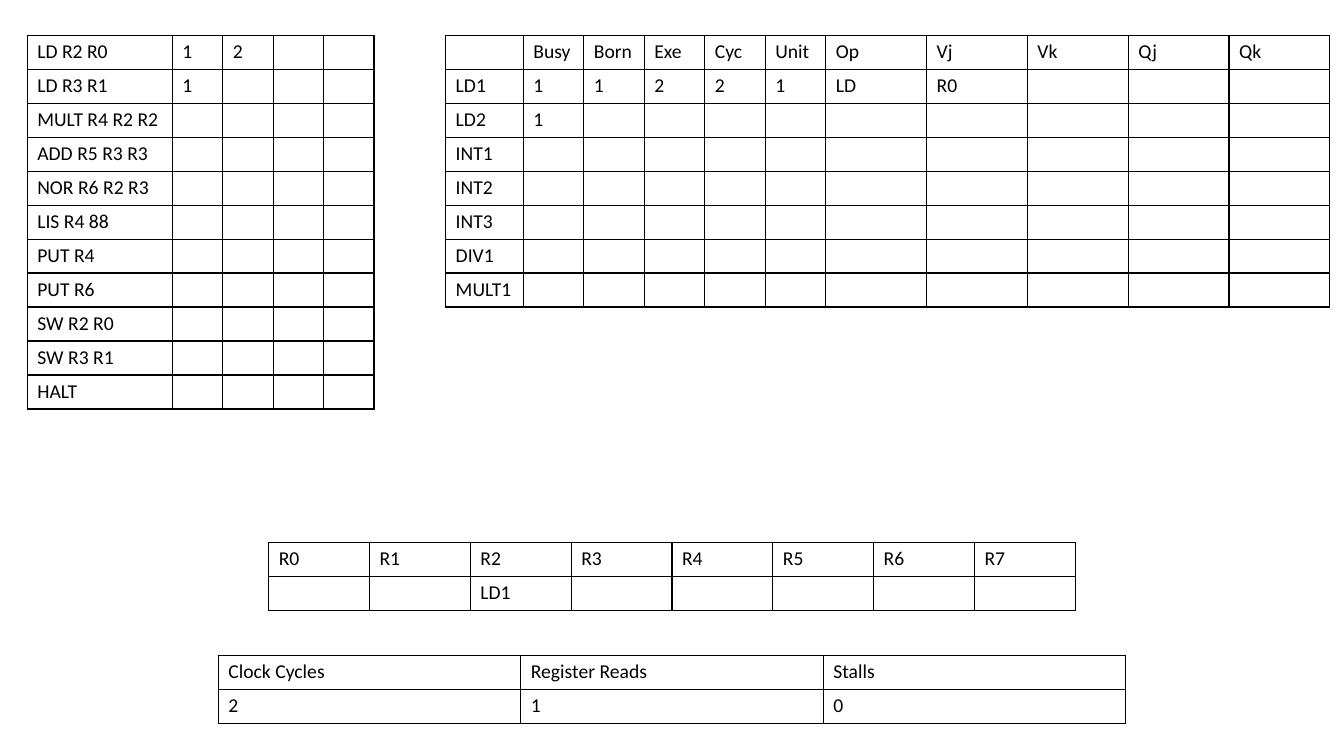
from lxml import etree
from pptx import Presentation
from pptx.dml.color import RGBColor
from pptx.oxml.ns import qn
from pptx.util import Inches, Pt

THEME = {"font": "Calibri", "size": 14, "ink": "000000", "border": 1}
SLIDE_W, SLIDE_H = 13.33, 7.5
ROW_H = 0.3
ROW_PITCH = 1 / 3
TOP = 0.35

prs = Presentation()
prs.slide_width, prs.slide_height = Inches(SLIDE_W), Inches(SLIDE_H)
slide = prs.slides.add_slide(prs.slide_layouts[6])


def style_cell(cell, text):
    """Fill in one cell: plain text, no fill, thin border on every side."""
    cell.text_frame.text = text
    paragraph = cell.text_frame.paragraphs[0]
    for run in paragraph.runs:
        run.font.name = THEME["font"]
        run.font.size = Pt(THEME["size"])
        run.font.color.rgb = RGBColor.from_string(THEME["ink"])
    if not text:  # keeps empty cells from growing the row
        end = etree.SubElement(paragraph._p, qn("a:endParaRPr"), sz=str(THEME["size"] * 100))
        etree.SubElement(end, qn("a:latin"), typeface=THEME["font"])
    properties = cell._tc.get_or_add_tcPr()
    for side in ("a:lnL", "a:lnR", "a:lnT", "a:lnB"):
        line = etree.SubElement(properties, qn(side), w=str(Pt(THEME["border"])))
        fill = etree.SubElement(line, qn("a:solidFill"))
        etree.SubElement(fill, qn("a:srgbClr"), val=THEME["ink"])
    cell.fill.background()


def add_grid(left, top, widths, rows):
    """Draw a bordered table; short rows are filled up with empty cells."""
    height = Inches(ROW_PITCH * len(rows))
    frame = slide.shapes.add_table(len(rows), len(widths), Inches(left), Inches(top),
                                   Inches(sum(widths)), height)
    table = frame.table
    table.first_row = table.horz_banding = False
    for column, width in zip(table.columns, widths):
        column.width = Inches(width)
    for r, values in enumerate(rows):
        table.rows[r].height = Inches(ROW_H)
        for c in range(len(widths)):
            style_cell(table.cell(r, c), values[c] if c < len(values) else "")
    frame.height = height


# Instruction queue
instructions = [
    ["LD R2 R0", "1", "2"], ["LD R3 R1", "1"], ["MULT R4 R2 R2"], ["ADD R5 R3 R3"],
    ["NOR R6 R2 R3"], ["LIS R4 88"], ["PUT R4"], ["PUT R6"], ["SW R2 R0"],
    ["SW R3 R1"], ["HALT"],
]
add_grid(0.27, TOP, [1.44] + [0.5] * 4, instructions)

# Reservation stations
stations = [
    ["", "Busy", "Born", "Exe", "Cyc", "Unit", "Op", "Vj", "Vk", "Qj", "Qk"],
    ["LD1", "1", "1", "2", "2", "1", "LD", "R0"],
    ["LD2", "1"], ["INT1"], ["INT2"], ["INT3"], ["DIV1"], ["MULT1"],
]
add_grid(4.42, TOP, [0.77] + [0.6] * 5 + [1] * 5, stations)

# Register status and counters, both centred on the slide
registers = [[f"R{n}" for n in range(8)], ["", "", "LD1"]]
counters = [["Clock Cycles", "Register Reads", "Stalls"], ["2", "1", "0"]]
for top, widths, rows in ((5.38, [1] * 8, registers), (6.5, [3] * 3, counters)):
    add_grid((SLIDE_W - sum(widths)) / 2, top, widths, rows)

prs.save("out.pptx")
